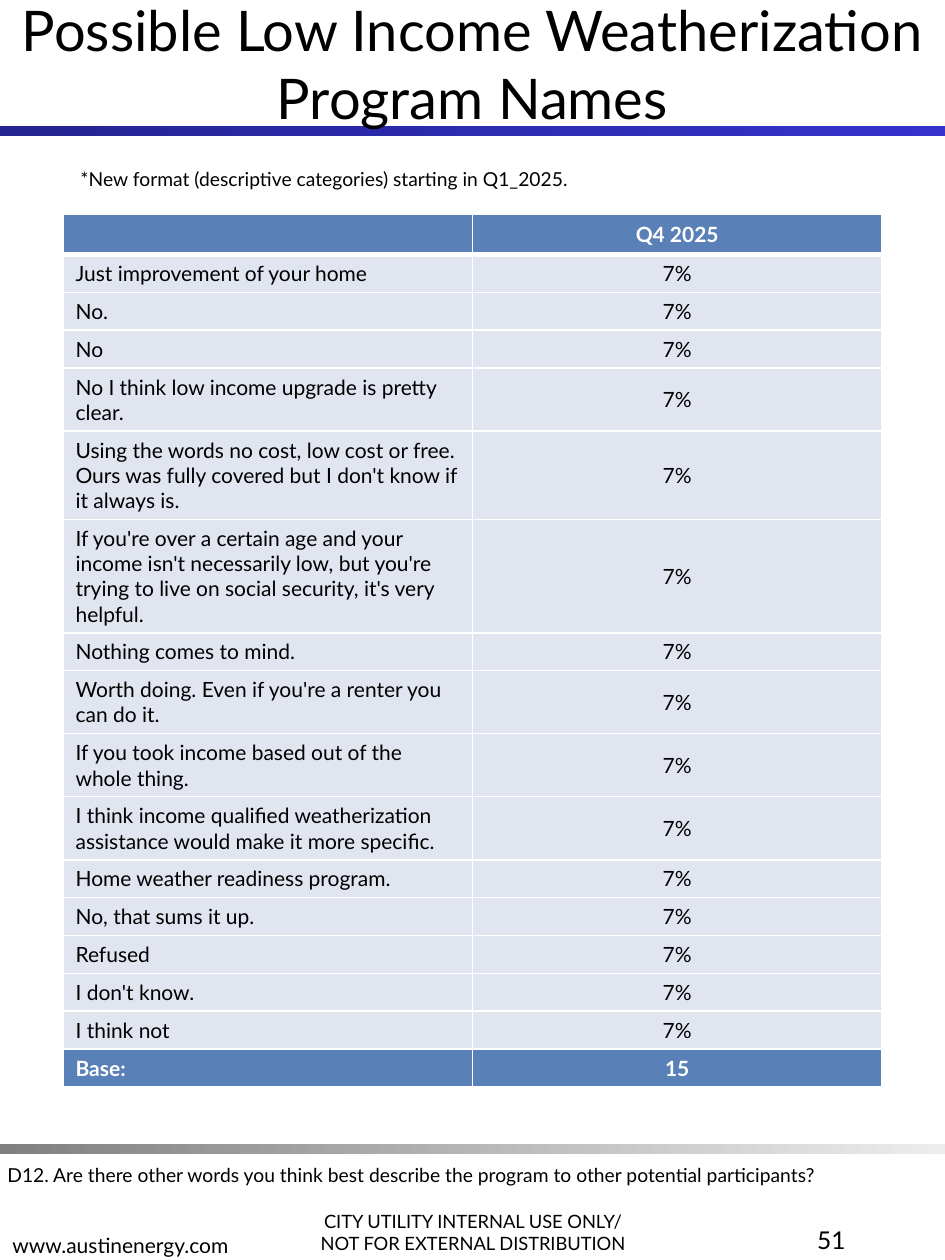
from dataclasses import dataclass

from lxml.etree import SubElement
from pptx import Presentation
from pptx.dml.color import RGBColor
from pptx.enum.shapes import MSO_SHAPE as Shape
from pptx.enum.text import MSO_ANCHOR as Anchor, PP_ALIGN as Align
from pptx.oxml import parse_xml
from pptx.oxml.ns import nsdecls, qn
from pptx.util import Inches, Pt

FONT = "Lato"
BLACK = RGBColor(0x00, 0x00, 0x00)
WHITE = RGBColor(0xFF, 0xFF, 0xFF)
NAVY = RGBColor(0x24, 0x24, 0x92)
BLUE = RGBColor(0x33, 0x33, 0xCC)
GRAY = RGBColor(0x80, 0x80, 0x80)
SILVER = RGBColor(0xED, 0xED, 0xED)
HEADING_FILL = RGBColor(0x5A, 0x80, 0xB8)
BODY_FILL = RGBColor(0xE0, 0xE5, 0xF0)

SLIDE_W, SLIDE_H = Inches(7.5), Inches(10)
MARGIN = SLIDE_W // 15
ROW_H = Inches(0.29)
BAR_H = Inches(0.08)


@dataclass
class Bar:
    top: float  # share of the slide's height
    start: RGBColor
    end: RGBColor


@dataclass
class Label:
    text: str
    box: tuple[float, float, float, float]  # left, top, width, height in inches
    size: float
    align: Align = Align.LEFT
    anchor: Anchor = Anchor.TOP


BARS = [Bar(0.1, NAVY, BLUE), Bar(0.908, GRAY, SILVER)]

LABELS = [
    Label("CITY UTILITY INTERNAL USE ONLY/\nNOT FOR EXTERNAL DISTRIBUTION",
          (2.16, 9.33, 3.19, 0.67), 10.5, Align.CENTER, Anchor.BOTTOM),
    Label("www.austinenergy.com", (0, 9.36, 3.19, 0.67), 12, anchor=Anchor.BOTTOM),
    Label("51", (5.25, 9.67, 1.56, 0.67), 14, Align.RIGHT),
    Label("D12. Are there other words you think best describe the program "
          "to other potential participants?", (-0.04, 9.18, 6.85, 0.29), 11),
    Label("*New format (descriptive categories) starting in Q1_2025.",
          (0.54, 1.28, 6.44, 0.29), 11),
]

ANSWERS = [
    "Just improvement of your home",
    "No.",
    "No",
    "No I think low income upgrade is pretty clear.",
    "Using the words no cost, low cost or free. Ours was fully covered "
    "but I don't know if it always is.",
    "If you're over a certain age and your income isn't necessarily low, "
    "but you're trying to live on social security, it's very helpful.",
    "Nothing comes to mind.",
    "Worth doing. Even if you're a renter you can do it.",
    "If you took income based out of the whole thing.",
    "I think income qualified weatherization assistance would make it more specific.",
    "Home weather readiness program.",
    "No, that sums it up.",
    "Refused",
    "I don't know.",
    "I think not",
]
ROWS = [("", "Q4 2025"), *((answer, "7%") for answer in ANSWERS), ("Base:", "15")]


def format_text(frame, size: float, align: Align, color=BLACK, bold=False) -> None:
    for paragraph in frame.paragraphs:
        paragraph.alignment = align
        for run in paragraph.runs:
            run.font.name, run.font.size = FONT, Pt(size)
            run.font.color.rgb, run.font.bold = color, bold
        if not paragraph.runs:  # keeps an empty line at the same height
            SubElement(paragraph._p, qn("a:endParaRPr")).set("sz", str(int(size * 100)))


def draw_bar(slide, bar: Bar) -> None:
    shape = slide.shapes.add_shape(
        Shape.RECTANGLE, 0, int(SLIDE_H * bar.top), SLIDE_W, BAR_H)
    shape.shadow.inherit = False
    shape.line.fill.background()
    shape.fill.gradient()
    shape.fill.gradient_angle = 0
    for stop, color in zip(shape.fill.gradient_stops, (bar.start, bar.end)):
        stop.color.rgb = color


def draw_label(slide, label: Label) -> None:
    frame = slide.shapes.add_textbox(*map(Inches, label.box)).text_frame
    frame.word_wrap = True
    frame.vertical_anchor = label.anchor
    frame.text = label.text
    format_text(frame, label.size, label.align)


def set_borders(cell, top: float, bottom: float) -> None:
    properties = cell._tc.get_or_add_tcPr()
    widths = {"lnL": 1, "lnR": 1, "lnT": top, "lnB": bottom}
    for position, (side, width) in enumerate(widths.items()):
        properties.insert(position, parse_xml(
            f'<a:{side} {nsdecls("a")} w="{Pt(width)}"><a:solidFill>'
            f'<a:srgbClr val="{WHITE}"/></a:solidFill></a:{side}>'))


def draw_table(slide, rows: list[tuple[str, str]]) -> None:
    table = slide.shapes.add_table(
        len(rows), 2, MARGIN, Inches(1.7),
        SLIDE_W - 2 * MARGIN, ROW_H * len(rows)).table
    for r, row in enumerate(rows):
        table.rows[r].height = ROW_H
        heading = r in (0, len(rows) - 1)
        for c, text in enumerate(row):
            cell = table.cell(r, c)
            cell.text = text
            cell.vertical_anchor = Anchor.MIDDLE
            cell.fill.solid()
            cell.fill.fore_color.rgb = HEADING_FILL if heading else BODY_FILL
            format_text(cell.text_frame, 12, Align.CENTER if c else Align.LEFT,
                        WHITE if heading else BLACK, heading)
            set_borders(cell, top=3 if r == 1 else 1, bottom=3 if r == 0 else 1)
    table.rows[0].height = Inches(0.32)


def main() -> None:
    deck = Presentation()
    deck.slide_width, deck.slide_height = SLIDE_W, SLIDE_H
    slide = deck.slides.add_slide(deck.slide_layouts[5])

    # Rules across the page
    for bar in BARS:
        draw_bar(slide, bar)

    # Title, in front of the rules
    title = slide.shapes.title
    title.left, title.top, title.width, title.height = 0, 0, SLIDE_W, SLIDE_H // 10
    title.text_frame.text = "Possible Low Income Weatherization Program Names"
    title.text_frame.vertical_anchor = Anchor.MIDDLE
    format_text(title.text_frame, 32, Align.CENTER)
    slide.shapes._spTree.append(title._element)

    # Footer, question and note
    for label in LABELS:
        draw_label(slide, label)

    # Answers
    draw_table(slide, ROWS)
    deck.save("out.pptx")


if __name__ == "__main__":
    main()
